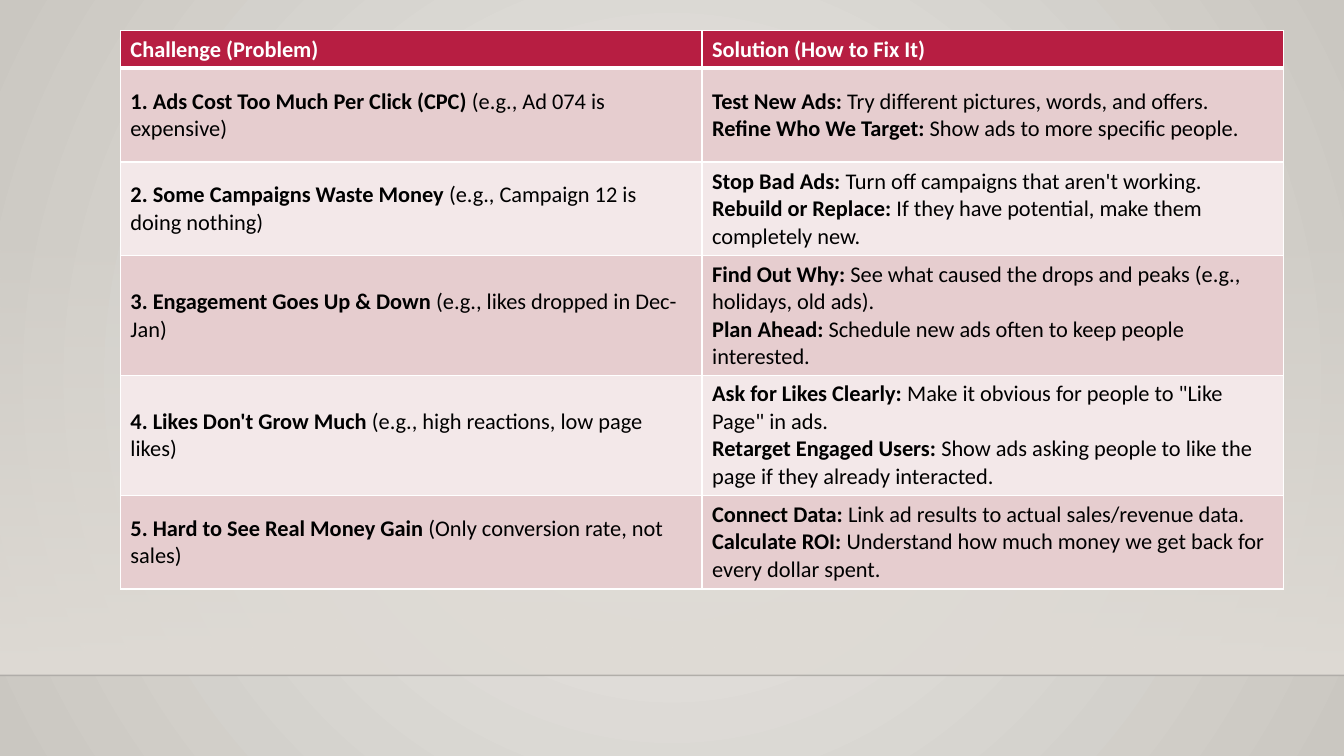
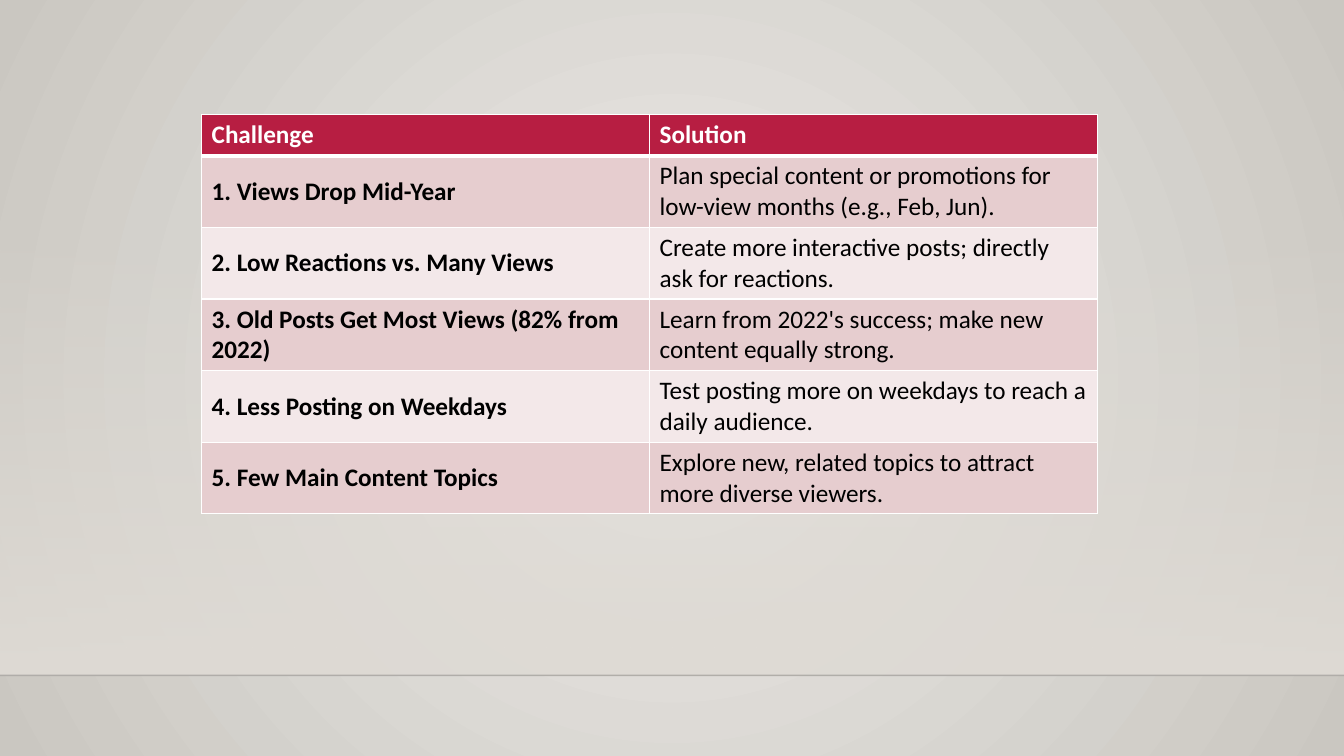
from lxml.etree import SubElement
from pptx import Presentation
from pptx.dml.color import RGBColor
from pptx.enum.shapes import MSO_CONNECTOR, MSO_SHAPE
from pptx.enum.text import MSO_ANCHOR
from pptx.oxml.ns import qn
from pptx.util import Pt

# Style
FONT = "Calibri"
WHITE = RGBColor(0xFF, 0xFF, 0xFF)
BLACK = RGBColor(0x00, 0x00, 0x00)
CRIMSON = RGBColor(0xB7, 0x1E, 0x42)
ROSE = RGBColor(0xE6, 0xCD, 0xCF)
BLUSH = RGBColor(0xF3, 0xE8, 0xE9)
WALL_LIGHT = RGBColor(0xEC, 0xEA, 0xE7)
WALL_DARK = RGBColor(0xCA, 0xC7, 0xC1)
SAND = RGBColor(0xDF, 0xDB, 0xD5)
EDGE = RGBColor(0x00, 0x00, 0x01)
WIDTH, HEIGHT = 960, 540
BAND_TOP, FLOOR = 159, 482.4

# Table text: "|" separates a bold lead from the plain text after it
AD_ROWS = [
    (["Challenge (Problem)|"], ["Solution (How to Fix It)|"]),
    (["1. Ads Cost Too Much Per Click (CPC)| (e.g., Ad 074 is expensive)"],
     ["Test New Ads:| Try different pictures, words, and offers.",
      "Refine Who We Target:| Show ads to more specific people."]),
    (["2. Some Campaigns Waste Money| (e.g., Campaign 12 is doing nothing)"],
     ["Stop Bad Ads:| Turn off campaigns that aren't working.",
      "Rebuild or Replace:| If they have potential, make them completely new."]),
    (["3. Engagement Goes Up & Down| (e.g., likes dropped in Dec-Jan)"],
     ["Find Out Why:| See what caused the drops and peaks (e.g., holidays, old ads).",
      "Plan Ahead:| Schedule new ads often to keep people interested."]),
    (["4. Likes Don't Grow Much| (e.g., high reactions, low page likes)"],
     ["Ask for Likes Clearly:| Make it obvious for people to \"Like Page\" in ads.",
      "Retarget Engaged Users:| Show ads asking people to like the page "
      "if they already interacted."]),
    (["5. Hard to See Real Money Gain| (Only conversion rate, not sales)"],
     ["Connect Data:| Link ad results to actual sales/revenue data.",
      "Calculate ROI:| Understand how much money we get back for every dollar spent."]),
]
CONTENT_ROWS = [
    (["Challenge|"], ["Solution|"]),
    (["1. Views Drop Mid-Year|"],
     ["|Plan special content or promotions for low-view months (e.g., Feb, Jun)."]),
    (["2. Low Reactions vs. Many Views|"],
     ["|Create more interactive posts; directly ask for reactions."]),
    (["3. Old Posts Get Most Views (82% from 2022)|"],
     ["|Learn from 2022's success; make new content equally strong."]),
    (["4. Less Posting on Weekdays|"],
     ["|Test posting more on weekdays to reach a daily audience."]),
    (["5. Few Main Content Topics|"],
     ["|Explore new, related topics to attract more diverse viewers."]),
]


def set_alpha(color_element, percent):
    SubElement(color_element, qn("a:alpha"), val=str(percent * 1000))


class Slides:
    def __init__(self):
        self.deck = Presentation()
        self.deck.slide_width, self.deck.slide_height = Pt(WIDTH), Pt(HEIGHT)
        self.page = None
        self.set_background()

    # Radial background, held by the master
    def set_background(self):
        master = self.deck.slide_master
        self.gradient(master.background.fill, WALL_LIGHT, WALL_DARK)
        gradient = next(master.element.iter(qn("a:gradFill")))
        gradient.remove(gradient.find(qn("a:lin")))
        path = SubElement(gradient, qn("a:path"), path="circle")
        SubElement(path, qn("a:fillToRect"), l="50000", t="50000", r="50000", b="50000")

    def gradient(self, fill, first, last):
        fill.gradient()
        for stop, color in zip(fill.gradient_stops, (first, last)):
            stop.color.rgb = color

    def add_page(self):
        self.page = self.deck.slides.add_slide(self.deck.slide_layouts[6])
        self.add_wall()
        self.add_floor_line()

    # Band that fades in towards the floor
    def add_wall(self):
        wall = self.page.shapes.add_shape(
            MSO_SHAPE.RECTANGLE, Pt(0), Pt(BAND_TOP), Pt(WIDTH), Pt(FLOOR - BAND_TOP))
        wall.shadow.inherit = False
        wall.line.fill.background()
        self.gradient(wall.fill, SAND, SAND)
        wall.fill.gradient_angle = 270
        set_alpha(next(wall.element.spPr.iter(qn("a:srgbClr"))), 0)

    def add_floor_line(self):
        line = self.page.shapes.add_connector(
            MSO_CONNECTOR.STRAIGHT, Pt(0), Pt(FLOOR), Pt(WIDTH), Pt(FLOOR))
        line.line.color.rgb = EDGE
        line.line.width = Pt(1)
        set_alpha(next(line.element.spPr.iter(qn("a:srgbClr"))), 20)
        SubElement(line.element.spPr, qn("a:effectLst"))

    def add_table(self, rows, left, top, column_width, row_heights, size):
        table = self.page.shapes.add_table(
            len(rows), 2, Pt(left), Pt(top), Pt(2 * column_width),
            Pt(sum(row_heights))).table
        for column in table.columns:
            column.width = Pt(column_width)
        for index, (row, height) in enumerate(zip(rows, row_heights)):
            table.rows[index].height = Pt(height)
            for cell, lines in zip(table.rows[index].cells, row):
                self.style_cell(cell, index)
                self.write_cell(cell, lines, size, BLACK if index else WHITE)

    # White borders, thicker under the header; banded fills
    def style_cell(self, cell, index):
        cell.vertical_anchor = MSO_ANCHOR.MIDDLE
        widths = {"L": 1, "R": 1, "T": 3 if index == 1 else 1, "B": 1 if index else 3}
        for side, width in widths.items():
            border = SubElement(cell._tc.get_or_add_tcPr(), qn("a:ln" + side),
                                w=str(Pt(width)))
            fill = SubElement(border, qn("a:solidFill"))
            SubElement(fill, qn("a:srgbClr"), val=str(WHITE))
        cell.fill.solid()
        band = ROSE if index % 2 else BLUSH
        cell.fill.fore_color.rgb = band if index else CRIMSON

    def write_cell(self, cell, lines, size, color):
        frame = cell.text_frame
        for number, line in enumerate(lines):
            para = frame.add_paragraph() if number else frame.paragraphs[0]
            font = para.font
            font.name, font.size, font.color.rgb = FONT, Pt(size), color
            lead, rest = line.split("|")
            if lead and rest:
                for text, bold in ((lead, True), (rest, False)):
                    span = para.add_run()
                    span.text, span.font.bold = text, bold
            else:
                para.add_run().text = lead or rest
                font.bold = bool(lead)


def main():
    slides = Slides()

    # Advertising challenges
    slides.add_page()
    slides.add_table(AD_ROWS, 86, 22, 415.5, [21, 67, 67, 67, 83, 67], 16)

    # Content challenges
    slides.add_page()
    slides.add_table(CONTENT_ROWS, 144, 82, 320, [29.2] * 6, 18)

    slides.deck.save("out.pptx")


if __name__ == "__main__":
    main()
